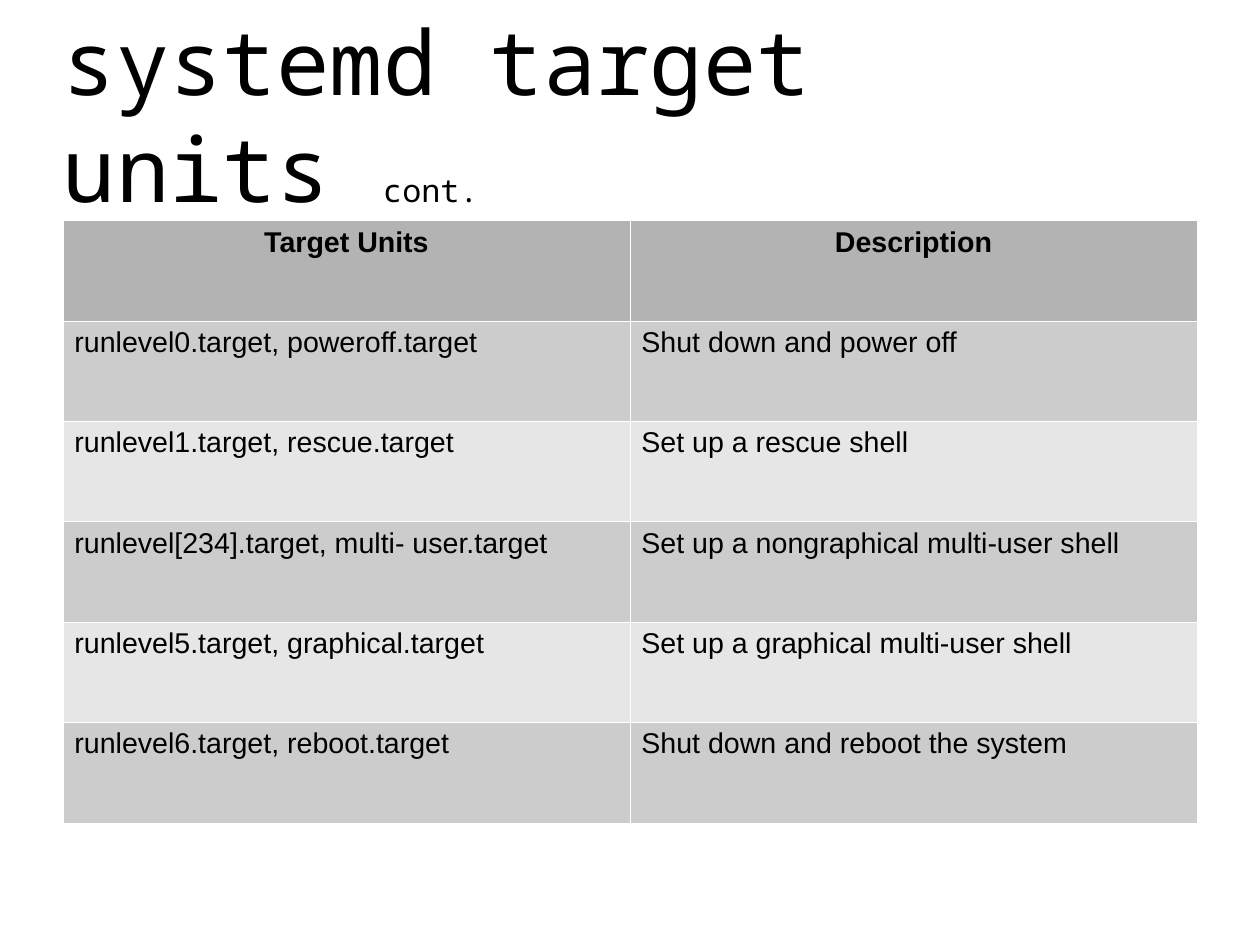
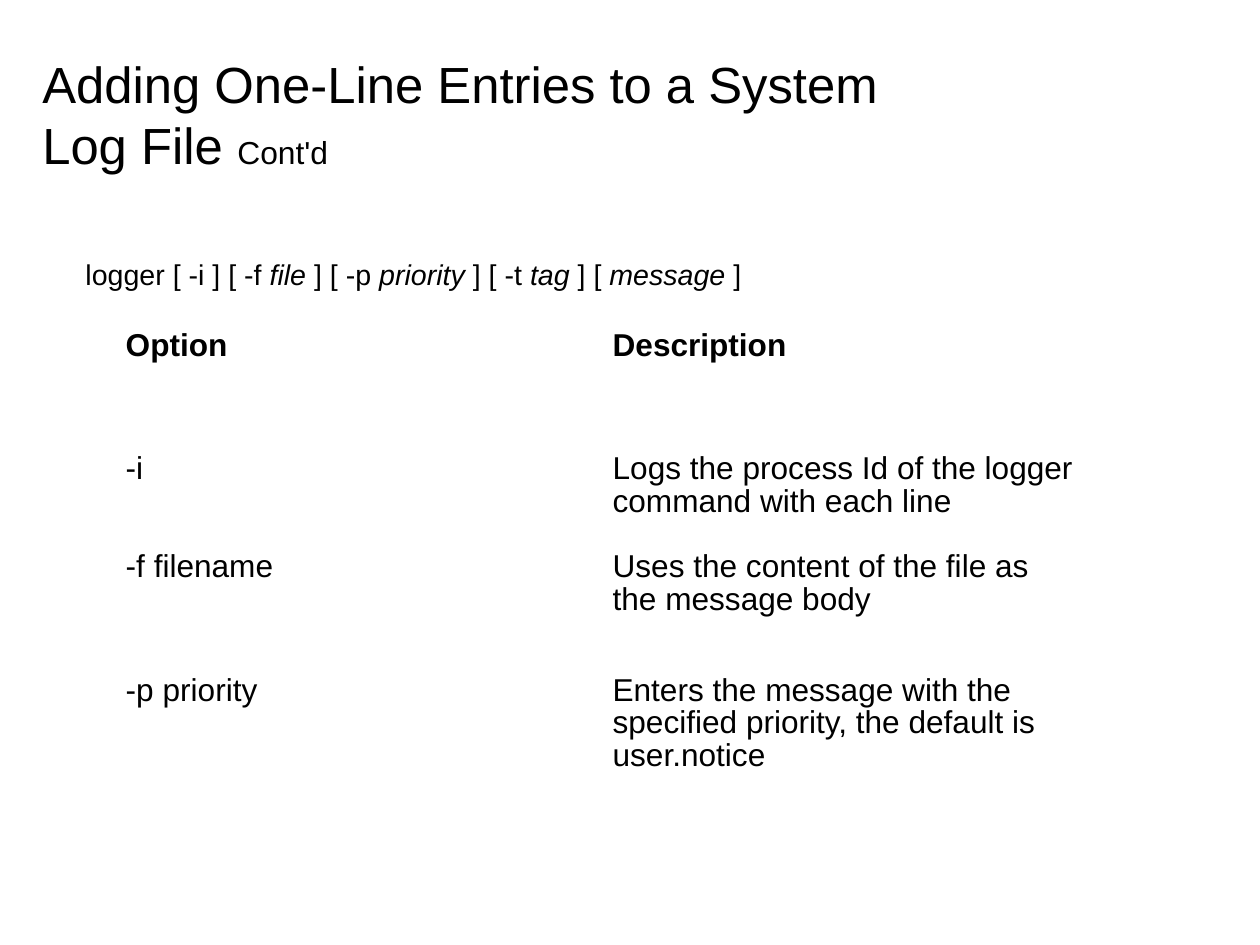
from pptx import Presentation
from pptx.dml.color import RGBColor
from pptx.enum.text import MSO_ANCHOR as Anchor, MSO_AUTO_SIZE as AutoSize, PP_ALIGN as Align
from pptx.oxml import parse_xml
from pptx.oxml.ns import nsdecls
from pptx.util import Cm, Pt

BLACK, WHITE = "000000", "FFFFFF"
HEADER_GREY, DARK_GREY, LIGHT_GREY = "B3B3B3", "CCCCCC", "E6E6E6"
SANS, MONO = "Arial", "Noto Sans Mono"
INSETS = (0.25, 0.13)

TARGETS = [
    ("Target Units", "Description"),
    ("runlevel0.target, poweroff.target", "Shut down and power off"),
    ("runlevel1.target, rescue.target", "Set up a rescue shell"),
    ("runlevel[234].target, multi- user.target", "Set up a nongraphical multi-user shell"),
    ("runlevel5.target, graphical.target", "Set up a graphical multi-user shell"),
    ("runlevel6.target, reboot.target", "Shut down and reboot the system"),
]
OPTIONS = [
    ("Option", "Description"),
    ("-i", "Logs the process Id of the logger command with each line"),
    ("-f filename", "Uses the content of the file as the message body"),
    ("-p priority", "Enters the message with the specified priority, the default is user.notice"),
]
SYNTAX = ["logger [ -i ] [ -f ", "file", " ] [ -p ", "priority", " ] [ -t ", "tag",
          " ] [ ", "message", " ]"]


def color(value):
    return RGBColor.from_string(value)


def set_all(target, values):
    for name, value in values.items():
        setattr(target, name, value)


def paint(fill, value):
    fill.solid()
    fill.fore_color.rgb = color(value)


class Deck:
    """Holds the shared style and the slide being filled."""

    def __init__(self, width, height):
        self.deck = Presentation()
        set_all(self.deck, {"slide_width": Cm(width), "slide_height": Cm(height)})
        self.page = None

    def add_page(self):
        self.page = self.deck.slides.add_slide(self.deck.slide_layouts[6])
        paint(self.page.background.fill, WHITE)

    def add_spans(self, para, spans, font=SANS):
        """Fill a paragraph from (text, size, further font values) spans."""
        for text, size, values in spans:
            span = para.add_run()
            span.text = text
            set_all(span.font, {"name": font, "size": Pt(size), **values})
            span.font.color.rgb = color(BLACK)

    def text(self, place, lines, font=SANS, anchor=Anchor.TOP, insets=INSETS, before=0):
        """Add a box with one paragraph; further lines follow a line break."""
        frame = self.page.shapes.add_textbox(*map(Cm, place)).text_frame
        side, edge = map(Cm, insets)
        set_all(frame, {"word_wrap": True, "auto_size": AutoSize.NONE,
                        "vertical_anchor": anchor, "margin_left": side,
                        "margin_right": side, "margin_top": edge, "margin_bottom": edge})
        para = frame.paragraphs[0]
        para.space_before = Pt(before)
        for index, spans in enumerate(lines):
            if index:
                para.add_line_break()
            self.add_spans(para, spans, font)

    def border(self, cell):
        properties = cell._tc.get_or_add_tcPr()
        for index, side in enumerate(("lnL", "lnR", "lnT", "lnB")):
            properties.insert(index, parse_xml(
                f'<a:{side} {nsdecls("a")} w="762"><a:solidFill>'
                f'<a:srgbClr val="{WHITE}"/></a:solidFill></a:{side}>'))

    def table(self, left, top, width, heights, rows, size, fills,
              header_align=Align.LEFT, spacing=1.0):
        """Add a table; fills are the header colour and the alternating row colours."""
        header_fill, *bands = fills
        grid = self.page.shapes.add_table(
            len(rows), len(rows[0]), Cm(left), Cm(top), Cm(width), Cm(sum(heights))).table
        set_all(grid, {"first_row": False, "horz_banding": False})
        for index, (height, texts) in enumerate(zip(heights, rows)):
            grid.rows[index].height = Cm(height)
            header = index == 0
            fill = header_fill if header else bands[(index - 1) % len(bands)]
            for column, text in enumerate(texts):
                cell = grid.cell(index, column)
                paint(cell.fill, fill)
                self.border(cell)
                para = cell.text_frame.paragraphs[0]
                set_all(para, {"alignment": header_align if header else Align.LEFT,
                               "line_spacing": spacing})
                self.add_spans(para, [(text, size, {"bold": header})])


def main():
    deck = Deck(28, 21)

    deck.add_page()
    deck.text((1.4, 0.23, 19.5, 4.6),
              [[("systemd target units ", 56.1, {}), ("cont.", 20, {})]],
              font=MONO, anchor=Anchor.MIDDLE, insets=(0, 0))
    deck.table(1.4, 4.9, 25.2, [2.23] * len(TARGETS), TARGETS, 18,
               (HEADER_GREY, DARK_GREY, LIGHT_GREY), header_align=Align.CENTER)

    deck.add_page()
    deck.text((0.69, 0.51, 24.97, 3.5),
              [[("Adding One-Line Entries to a System ", 32, {})],
               [("Log File ", 32, {}), ("Cont'd", 20, {})]], anchor=Anchor.BOTTOM)
    deck.text((1.65, 5.59, 24.95, 1.4),
              [[(text, 18, {"italic": index % 2 == 1}) for index, text in enumerate(SYNTAX)]],
              before=6.2)
    deck.table(2.54, 7.21, 21.64, [2.74, 2.18, 2.74, 2.74], OPTIONS, 19.9,
               (WHITE, WHITE), spacing=0.93)

    deck.deck.save("out.pptx")


if __name__ == "__main__":
    main()
